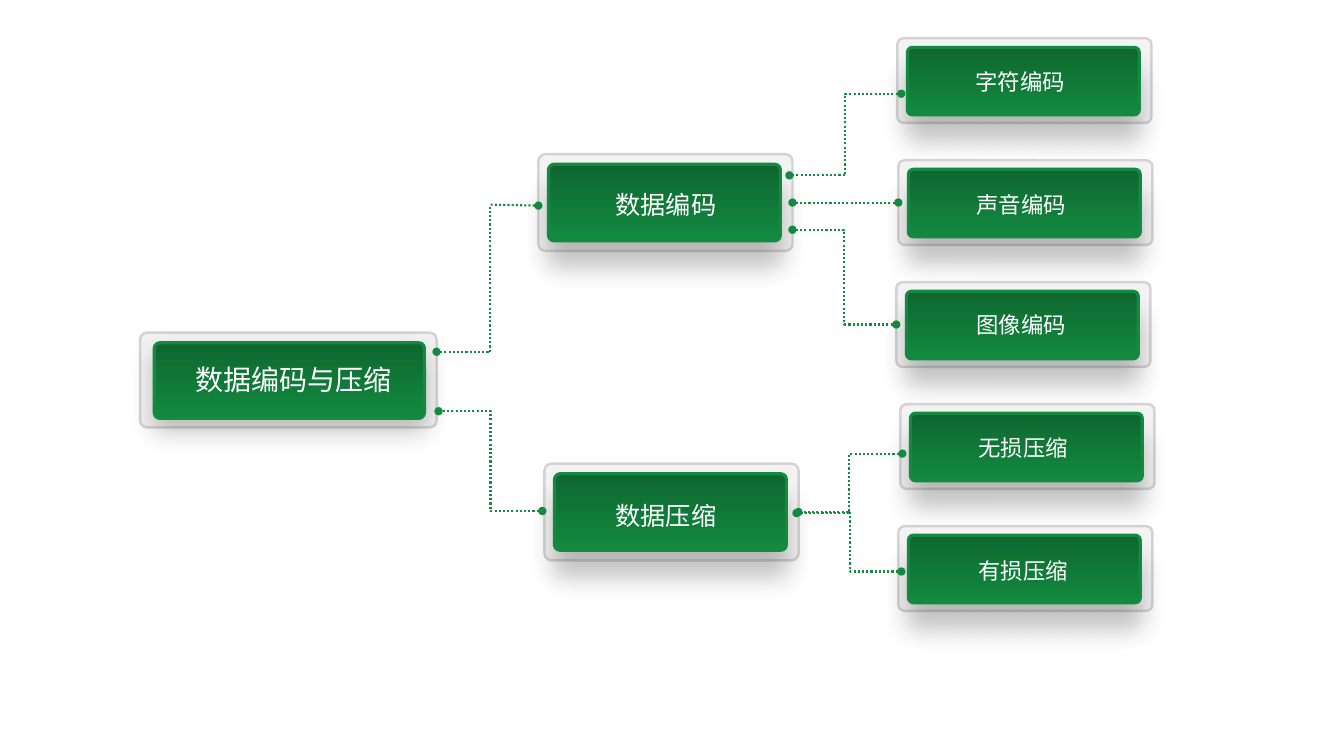
from pptx import Presentation
from pptx.dml.color import RGBColor
from pptx.enum.dml import MSO_LINE
from pptx.enum.shapes import MSO_CONNECTOR, MSO_SHAPE
from pptx.enum.text import MSO_AUTO_SIZE, PP_ALIGN
from pptx.oxml.ns import qn
from pptx.util import Inches, Pt
from lxml import etree

ROUNDED = MSO_SHAPE.ROUNDED_RECTANGLE
ELBOW = MSO_CONNECTOR.ELBOW
STRAIGHT = MSO_CONNECTOR.STRAIGHT
DOTTED = MSO_LINE.ROUND_DOT
CENTER = PP_ALIGN.CENTER
GROW = MSO_AUTO_SIZE.SHAPE_TO_FIT_TEXT

FONT = "Noto Sans CJK SC"
GREEN = "138A40"
DARK_GREEN = "0E6730"

BRANCHES = [
    ("数据编码", 5.34, 1.53, 6, 1.83),
    ("数据压缩", 5.4, 4.6, 6, 4.91),
]
LEAVES = [
    ("字符编码", 8.9, 9.57, 0.63),
    ("声音编码", 8.91, 9.58, 1.85),
    ("图像编码", 8.89, 9.58, 3.04),
    ("无损压缩", 8.93, 9.6, 4.26),
    ("有损压缩", 8.91, 9.6, 5.48),
]
LEAF_TOP, LEAF_STEP = 0.38, 1.21

ELBOWS = [
    (5.38, 5.07, 4.35, 4.08),
    (8.94, 0.93, 7.83, 1.74),
    (8.91, 2.01, 7.86, 2.01),
    (8.89, 3.22, 7.86, 2.28),
    (8.95, 4.5, 7.9, 5.09),
    (8.94, 5.67, 7.92, 5.08),
]
ROOT_LINK = [
    ((4.33, 3.49, 4.86, 3.49), ["headEnd"]),
    ((4.86, 3.49, 4.86, 2.03), []),
    ((5.34, 2.04, 4.86, 2.03), ["headEnd"]),
]


def color(value):
    return RGBColor.from_string(value)


def add_rounded(shapes, area, line_color, line_width):
    box = shapes.add_shape(ROUNDED, *map(Inches, area))
    box.adjustments[0] = 0.073
    box.line.color.rgb = color(line_color)
    box.line.width = Pt(line_width)
    box.shadow.inherit = False
    return box


def add_shadow(box, distance):
    effects = box._element.spPr.find(qn("a:effectLst"))
    shadow = etree.SubElement(
        effects, qn("a:outerShdw"), blurRad=str(Pt(18)), dist=str(Pt(distance)),
        dir="5400000", algn="t", rotWithShape="0")
    tint = etree.SubElement(shadow, qn("a:srgbClr"), val="262626")
    etree.SubElement(tint, qn("a:alpha"), val="28000")


def add_frame(shapes, area):
    frame = add_rounded(shapes, area, "D3D3D3", 1.75)
    frame.fill.solid()
    frame.fill.fore_color.rgb = color("F3F3F3")


def add_plate(shapes, area, shadow_distance):
    plate = add_rounded(shapes, area, GREEN, 2.25)
    plate.fill.gradient()
    plate.fill.gradient_angle = 270
    for stop, (position, value) in zip(plate.fill.gradient_stops, [(0, DARK_GREEN), (1, GREEN)]):
        stop.position = position
        stop.color.rgb = color(value)
    add_shadow(plate, shadow_distance)


def add_label(shapes, text, area, size):
    box = shapes.add_textbox(*map(Inches, area))
    box.text_frame.word_wrap = False
    box.text_frame.auto_size = GROW
    para = box.text_frame.paragraphs[0]
    para.alignment = CENTER
    span = para.add_run()
    span.text = text
    span.font.size = Pt(size)
    span.font.name = FONT
    span.font.color.rgb = color("FFFFFF")
    etree.SubElement(span.font._element, qn("a:ea"), typeface=FONT)


def add_card(shapes, text, frame, plate, label, size, shadow_distance=18):
    add_frame(shapes, frame)
    add_plate(shapes, plate, shadow_distance)
    add_label(shapes, text, label, size)


def add_link(page, kind, points, dots):
    link = page.shapes.add_connector(kind, *map(Inches, points))
    link.line.color.rgb = color(GREEN)
    link.line.width = Pt(1.5)
    link.line.dash_style = DOTTED
    outline = link.line._get_or_add_ln()
    for end in dots:
        etree.SubElement(outline, qn("a:" + end), type="oval")
    etree.SubElement(link._element.spPr, qn("a:effectLst"))


def main():
    deck = Presentation()
    deck.slide_width, deck.slide_height = Inches(13.33), Inches(7.5)
    page = deck.slides.add_slide(deck.slide_layouts[6])

    add_card(page.shapes, "数据编码与压缩", (1.39, 3.3, 2.94, 0.94),
             (1.53, 3.4, 2.68, 0.75), (1.83, 3.55, 2.17, 0.44), 20, 8)
    for text, left, top, label_left, label_top in BRANCHES:
        group = page.shapes.add_group_shape()
        add_card(group.shapes, text, (left, top, 2.52, 0.96),
                 (left + 0.1, top + 0.1, 2.3, 0.76), (label_left, label_top, 1.21, 0.4), 18)
    for row, (text, left, label_left, label_top) in enumerate(LEAVES):
        top = LEAF_TOP + row * LEAF_STEP
        group = page.shapes.add_group_shape()
        add_card(group.shapes, text, (left, top, 2.52, 0.84),
                 (left + 0.1, top + 0.09, 2.3, 0.67), (label_left, label_top, 1.1, 0.37), 16)

    for points in ELBOWS:
        add_link(page, ELBOW, points, ["headEnd", "tailEnd"])
    for points, dots in ROOT_LINK:
        add_link(page, STRAIGHT, points, dots)

    deck.save("out.pptx")


if __name__ == "__main__":
    main()
